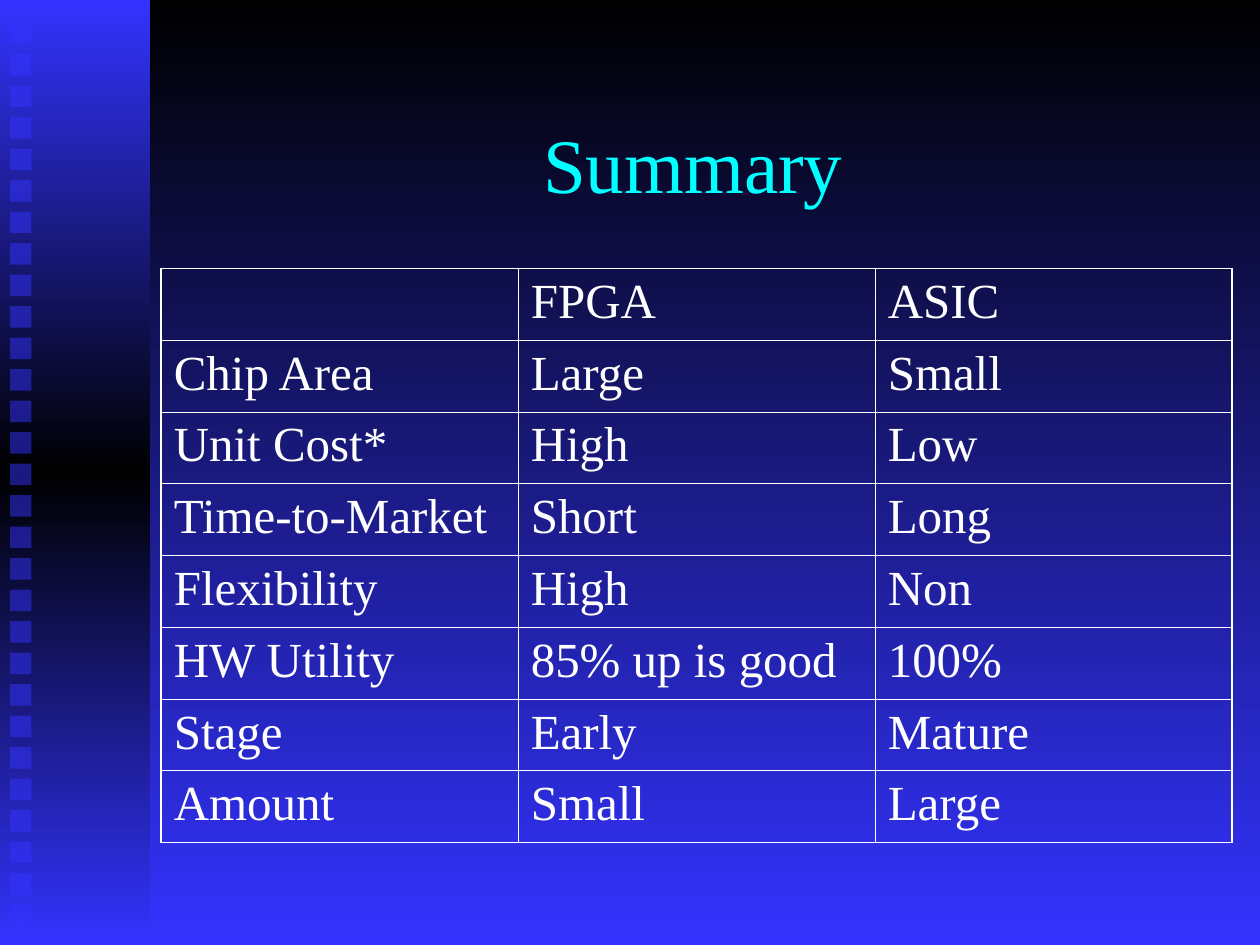
from lxml import etree
from pptx import Presentation
from pptx import util as u
from pptx.dml.color import RGBColor
from pptx.enum import shapes, text
from pptx.oxml.ns import qn

FONT = "Times New Roman"
BLUE, BLACK, WHITE, CYAN = "3333FF", "000000", "FFFFFF", "00FFFF"
THICK, THIN = 1.08, 0.45
ROWS = [
    ["", "FPGA", "ASIC"],
    ["Chip Area", "Large", "Small"],
    ["Unit Cost*", "High", "Low"],
    ["Time-to-Market", "Short", "Long"],
    ["Flexibility", "High", "Non"],
    ["HW Utility", "85% up is good", "100%"],
    ["Stage", "Early", "Mature"],
    ["Amount", "Small", "Large"],
]


def paint(color, code):
    """Set a colour from a hex string."""
    color.rgb = RGBColor.from_string(code)


def style(item, **vals):
    """Set attributes from format values."""
    for key, val in vals.items():
        setattr(item, key, val)


def write(frame, words, size, code, **para):
    """Fill a text frame with one styled paragraph."""
    line = frame.paragraphs[0]
    run = line.add_run()
    run.text = words
    style(run.font, name=FONT, size=u.Pt(size), bold=False)
    paint(run.font.color, code)
    style(line, **para)


def shade(fill, root, codes):
    """Give a fill a downward gradient with evenly spaced stops."""
    fill.gradient()
    fill.gradient_angle = 270
    stops = root.find(".//" + qn("a:gsLst"))
    for old in list(stops):
        stops.remove(old)
    for i, code in enumerate(codes):
        pos = str(100000 * i // (len(codes) - 1))
        stop = etree.SubElement(stops, qn("a:gs"), pos=pos)
        etree.SubElement(stop, qn("a:srgbClr"), val=code)


def add_box(group, x, y, w, h):
    """Add a plain rectangle without line or shadow."""
    box = group.shapes.add_shape(shapes.MSO_SHAPE.RECTANGLE, x, y, w, h)
    box.shadow.inherit = False
    box.line.fill.background()
    return box


def add_band(slide, x, y, w, h):
    """Draw the side band with its column of translucent squares."""
    group = slide.shapes.add_group_shape()
    band = add_box(group, x, y, w, h)
    shade(band.fill, band._element, [BLUE, BLACK, BLUE])
    side, step = u.Inches(0.17), u.Inches(0.25)
    for i in range(29):
        top = y + u.Inches(0.18) + i * step
        box = add_box(group, x + u.Inches(0.08), top, side, side)
        box.fill.solid()
        paint(box.fill.fore_color, BLUE)
        tint = box._element.spPr.find(".//" + qn("a:srgbClr"))
        etree.SubElement(tint, qn("a:alpha"), val="50000")


def add_title(slide, x, y, w, h):
    """Place and format the title."""
    title = slide.shapes.title
    style(title, left=x, top=y, width=w, height=h)
    style(title.text_frame, word_wrap=True,
          vertical_anchor=text.MSO_ANCHOR.MIDDLE)
    write(title.text_frame, "Summary", 44, CYAN,
          alignment=text.PP_ALIGN.CENTER)


def edge(cell, sides):
    """Draw the four white borders of a cell."""
    props = cell._tc.get_or_add_tcPr()
    for i, (side, width) in enumerate(sides.items()):
        line = etree.Element(qn("a:ln" + side), w=str(u.Pt(width)))
        fill = etree.SubElement(line, qn("a:solidFill"))
        etree.SubElement(fill, qn("a:srgbClr"), val=WHITE)
        props.insert(i, line)


def add_grid(slide, x, y, w, h):
    """Draw the comparison table with a thicker outer frame."""
    rows, cols = len(ROWS), len(ROWS[0])
    grid = slide.shapes.add_table(rows, cols, x, y, w, h).table
    style(grid, first_row=False, horz_banding=False)
    for r, row in enumerate(ROWS):
        for c, words in enumerate(row):
            cell = grid.cell(r, c)
            cell.fill.background()
            outer = {"L": c == 0, "R": c == cols - 1,
                     "T": r == 0, "B": r == rows - 1}
            edge(cell, {k: THICK if v else THIN for k, v in outer.items()})
            if words:
                write(cell.text_frame, words, 28, WHITE,
                      space_before=u.Pt(7))


def main():
    """Build and save the slide."""
    deck = Presentation()
    style(deck, slide_width=u.Inches(10), slide_height=u.Inches(7.5))
    slide = deck.slides.add_slide(deck.slide_layouts.get_by_name("Title Only"))
    shade(slide.background.fill, slide._element, [BLACK, BLUE])
    parts = [
        (add_band, (0, 0, 1.19, 7.5)),
        (add_title, (1.25, 0.67, 8.5, 1.25)),
        (add_grid, (1.28, 2.13, 8.5, 4.56)),
    ]
    for draw, box in parts:
        draw(slide, *map(u.Inches, box))
    deck.save("out.pptx")


if __name__ == "__main__":
    main()
